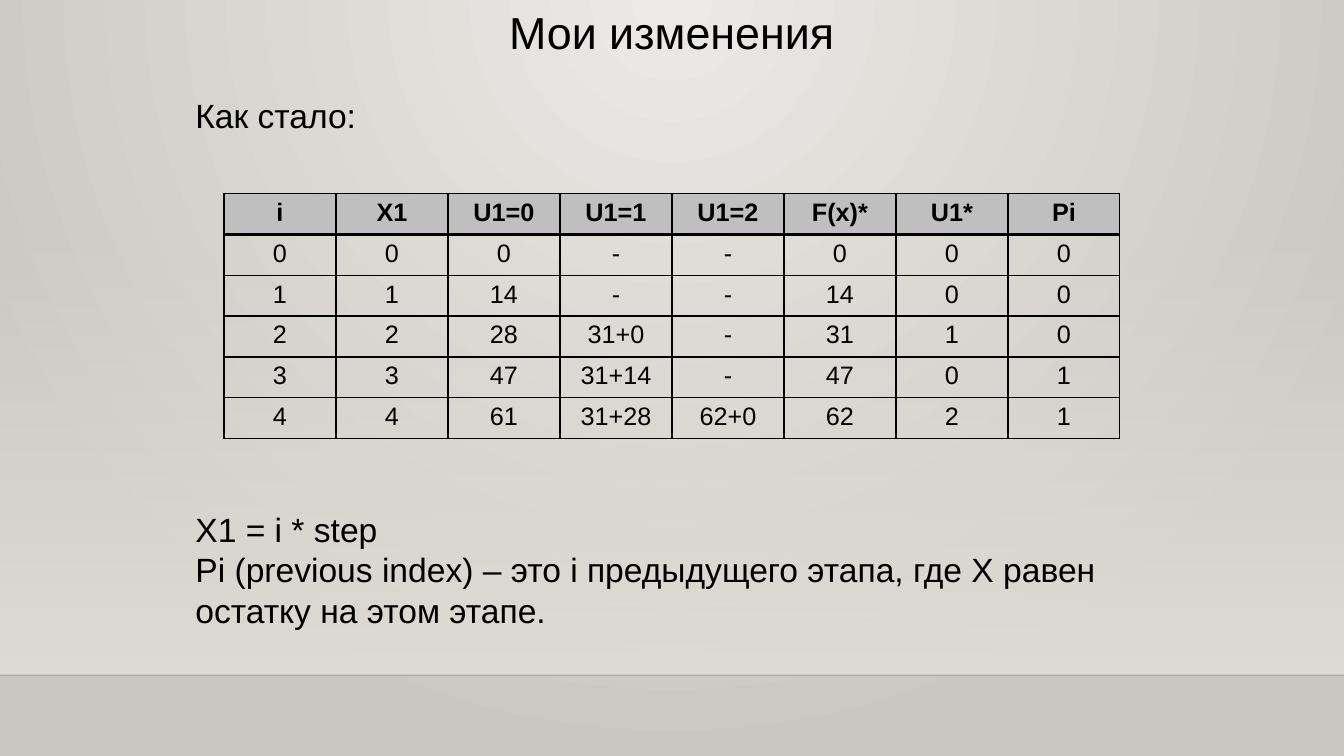
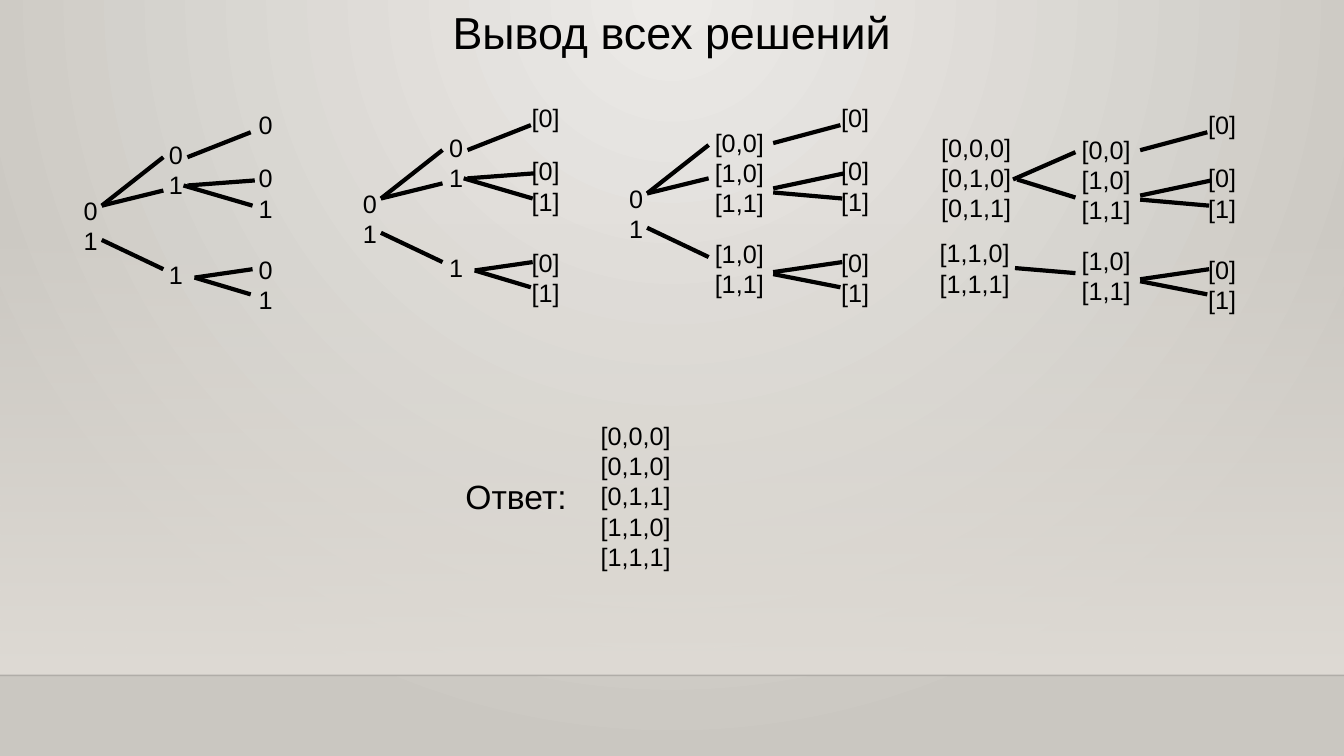
from lxml import etree
from pptx import Presentation
from pptx.dml.color import RGBColor
from pptx.enum.shapes import MSO_CONNECTOR, MSO_SHAPE
from pptx.enum.text import MSO_AUTO_SIZE, PP_ALIGN
from pptx.oxml.ns import qn
from pptx.util import Pt

STRAIGHT = MSO_CONNECTOR.STRAIGHT
RECTANGLE = MSO_SHAPE.RECTANGLE
GROW = MSO_AUTO_SIZE.SHAPE_TO_FIT_TEXT
LEFT, CENTER = PP_ALIGN.LEFT, PP_ALIGN.CENTER

FONT = "Arial"
INK = "000000"
HEADER_FILL = "BFBFBF"
WALL_LIGHT, WALL_DARK, WALL_GLOW = "ECEAE7", "CAC7C1", "DFDBD5"
WIDTH, HEIGHT = 960, 540
FLOOR_TOP = 482.4
GLOW_TOP = 159
TITLE_SIZE, BODY_SIZE, NODE_SIZE = 32, 24, 18

STEPS = [
    ["i", "X1", "U1=0", "U1=1", "U1=2", "F(x)*", "U1*", "Pi"],
    ["0", "0", "0", "-", "-", "0", "0", "0"],
    ["1", "1", "14", "-", "-", "14", "0", "0"],
    ["2", "2", "28", "31+0", "-", "31", "1", "0"],
    ["3", "3", "47", "31+14", "-", "47", "0", "1"],
    ["4", "4", "61", "31+28", "62+0", "62", "2", "1"],
]
HEAVY_RIGHT_COLUMNS = (1, 4)
THIN, HEAVY = 1, 2.25

ROOT_BRANCHES = [
    ((37.4, 10.8), (81.4, -23.8)),
    ((37.4, 10.8), (81.4, 0)),
    ((37.4, 35.3), (81.4, 56.2)),
]
LEAF_TOPS = (0, 37.8, 103.3)
LEAF_TIPS = [(21.4, 19.6), (24.3, 54), (22.7, 72), (22.7, 117.4), (21.4, 135.4)]
PLAIN_MIDDLES = [(-64, 21.2, ["0", "1"]), (-64, 106.6, ["1"])]
PLAIN_STEMS = [(-23.8, 37.4), (-23.8, 57.6), (-26.6, 57.6), (-18.7, 123.4), (-18.7, 123.4)]
LISTED_MIDDLES = [
    (-82.8, 17.3, ["[0,0]", "[1,0]", "[1,1]"]),
    (-82.8, 96.8, ["[1,0]", "[1,1]"]),
]
LISTED_STEMS = [(-26.6, y) for y in (32.4, 64.8, 67.7, 124.6, 126)]
PLAIN = (PLAIN_MIDDLES, PLAIN_STEMS)
LISTED = (LISTED_MIDDLES, LISTED_STEMS)
PLAIN_LEAVES = [["0"], ["0", "1"], ["0", "1"]]
LISTED_LEAVES = [["[0]"], ["[0]", "[1]"], ["[0]", "[1]"]]

TREES = [
    ((35.3, 136.1), (157.7, 74.9), PLAIN, PLAIN_LEAVES),
    ((234.7, 131), (357.8, 69.8), PLAIN, LISTED_LEAVES),
    ((424.8, 127.4), (578.9, 69.8), LISTED, LISTED_LEAVES),
    (None, (841, 74.9), LISTED, LISTED_LEAVES),
]
ZERO_ANSWERS = ["[0,0,0]", "[0,1,0]", "[0,1,1]"]
ONE_ANSWERS = ["[1,1,0]", "[1,1,1]"]
ANSWER_BRANCHES = [
    ((723.6, 128.2), (768.2, 108.7)),
    ((726.5, 128.2), (768.2, 141.1)),
    ((725, 191.5), (768.2, 195.1)),
]


def color(hex_text):
    """Turn a hex string into a colour."""
    return RGBColor.from_string(hex_text)


def add_xml(parent, tag, **attributes):
    """Append an XML child with the given attributes."""
    return etree.SubElement(parent, qn(tag), attributes)


def set_gradient(fill, owner, stops):
    """Give a fill a gradient of (position, colour, alpha) stops and return it."""
    fill.gradient()
    gradient = owner.find(".//" + qn("a:gradFill"))
    for child in list(gradient):
        gradient.remove(child)
    stop_list = add_xml(gradient, "a:gsLst")
    for position, hex_text, alpha in stops:
        stop = add_xml(stop_list, "a:gs", pos=str(position * 1000))
        tint = add_xml(stop, "a:srgbClr", val=hex_text)
        if alpha < 100:
            add_xml(tint, "a:alpha", val=str(alpha * 1000))
    return gradient


def set_wall(master):
    """Paint the shared background with a glow from the top centre."""
    gradient = set_gradient(master.background.fill, master.element,
                            [(0, WALL_LIGHT, 100), (100, WALL_DARK, 100)])
    glow = add_xml(gradient, "a:path", path="circle")
    add_xml(glow, "a:fillToRect", l="43000", t="0", r="43000", b="100000")


def add_line(shapes, start, end, width=3, hex_text=INK, alpha=100):
    """Draw a straight line between two points."""
    line = shapes.add_connector(STRAIGHT, *(Pt(v) for v in (*start, *end)))
    line.line.width = Pt(width)
    line.line.color.rgb = color(hex_text)
    properties = line._element.spPr
    if alpha < 100:
        add_xml(properties.find(".//" + qn("a:srgbClr")), "a:alpha", val=str(alpha * 1000))
    add_xml(properties, "a:effectLst")


def style_paragraph(paragraph, size, align, bold=False):
    """Align a paragraph and format its runs."""
    paragraph.alignment = align
    for run in paragraph.runs:
        run.font.name = FONT
        run.font.size = Pt(size)
        run.font.bold = bold
        run.font.color.rgb = color(INK)


def add_text(shapes, left, top, width, lines, size=NODE_SIZE, align=CENTER, rows=None):
    """Add a text box with one paragraph per line."""
    height = (rows or len(lines)) * size * 1.2 + 7.2
    box = shapes.add_textbox(Pt(left), Pt(top), Pt(width), Pt(height))
    frame = box.text_frame
    frame.text = "\n".join(lines)
    frame.word_wrap = True
    frame.auto_size = GROW
    for paragraph in frame.paragraphs:
        style_paragraph(paragraph, size, align)


def add_titled_slide(prs, title):
    """Add a slide with the shared floor and title."""
    slide = prs.slides.add_slide(prs.slide_layouts[6])
    glow = slide.shapes.add_shape(RECTANGLE, 0, Pt(GLOW_TOP), Pt(WIDTH), Pt(FLOOR_TOP - GLOW_TOP))
    glow.shadow.inherit = False
    glow.line.fill.background()
    gradient = set_gradient(glow.fill, glow._element, [(0, WALL_GLOW, 0), (100, WALL_GLOW, 100)])
    add_xml(gradient, "a:lin", ang="5400000", scaled="0")
    add_line(slide.shapes, (0, FLOOR_TOP), (WIDTH, FLOOR_TOP), 1, INK, 20)
    add_text(slide.shapes, 146.2, 0, 667.4, [title], TITLE_SIZE)
    return slide


def set_borders(cell, widths):
    """Draw the left, right, top and bottom borders of a cell."""
    properties = cell._tc.get_or_add_tcPr()
    for index, (side, width) in enumerate(zip("LRTB", widths)):
        border = etree.Element(qn("a:ln" + side), w=str(int(Pt(width))))
        add_xml(add_xml(border, "a:solidFill"), "a:srgbClr", val=INK)
        properties.insert(index, border)


def add_steps_table(slide, left, top, column_width, row_height):
    """Add the table of steps."""
    rows, columns = len(STEPS), len(STEPS[0])
    table = slide.shapes.add_table(rows, columns, Pt(left), Pt(top), Pt(columns * column_width),
                                   Pt(rows * row_height)).table
    table.first_row = table.horz_banding = False
    for r, values in enumerate(STEPS):
        table.rows[r].height = Pt(row_height)
        for c, value in enumerate(values):
            cell = table.cell(r, c)
            cell.text_frame.text = value
            style_paragraph(cell.text_frame.paragraphs[0], NODE_SIZE, CENTER, r == 0)
            if r == 0:
                cell.fill.solid()
                cell.fill.fore_color.rgb = color(HEADER_FILL)
            else:
                cell.fill.background()
            heavy = (c - 1 in HEAVY_RIGHT_COLUMNS, c in HEAVY_RIGHT_COLUMNS, r == 1, r == 0)
            set_borders(cell, [HEAVY if flag else THIN for flag in heavy])


def shift(point, origin):
    """Move a relative point to its origin."""
    return point[0] + origin[0], point[1] + origin[1]


def add_tree(shapes, root, leaf_origin, style, leaves):
    """Draw one solution tree, with its root if it has one."""
    middles, stems = style
    if root:
        add_text(shapes, *root, 59, ["0", "1"])
        for start, end in ROOT_BRANCHES:
            add_line(shapes, shift(start, root), shift(end, root))
    for x, y, lines in middles:
        add_text(shapes, *shift((x, y), leaf_origin), 64, lines)
    for top, lines in zip(LEAF_TOPS, leaves):
        add_text(shapes, *shift((0, top), leaf_origin), 64, lines)
    for stem, tip in zip(stems, LEAF_TIPS):
        add_line(shapes, shift(stem, leaf_origin), shift(tip, leaf_origin))


def build_changes(prs):
    """Build the slide with the changed table."""
    slide = add_titled_slide(prs, "Мои изменения")
    add_text(slide.shapes, 132.5, 64, 715, ["Как стало:"], BODY_SIZE, LEFT)
    add_steps_table(slide, 160, 138.2, 80, 29.2)
    add_text(slide.shapes, 132.5, 360, 715, [
        "X1 = i * step",
        "Pi (previous index) – это i предыдущего этапа, где X равен остатку на этом этапе.",
    ], BODY_SIZE, LEFT, rows=3)


def build_solutions(prs):
    """Build the slide with the solution trees."""
    slide = add_titled_slide(prs, "Вывод всех решений")
    for tree in TREES:
        group = slide.shapes.add_group_shape()
        add_tree(group.shapes, *tree)
    add_text(group.shapes, 660.2, 90.7, 74.2, ZERO_ANSWERS)
    add_text(group.shapes, 662.4, 166.3, 67.7, ONE_ANSWERS)
    for start, end in ANSWER_BRANCHES:
        add_line(group.shapes, start, end)
    add_text(slide.shapes, 416.9, 296.6, 74.2, ZERO_ANSWERS + ONE_ANSWERS)
    add_text(slide.shapes, 325.4, 336.2, 138.2, ["Ответ:"], BODY_SIZE, LEFT)


def main():
    """Build and save the presentation."""
    prs = Presentation()
    prs.slide_width, prs.slide_height = Pt(WIDTH), Pt(HEIGHT)
    set_wall(prs.slide_master)
    build_changes(prs)
    build_solutions(prs)
    prs.save("out.pptx")


if __name__ == "__main__":
    main()
